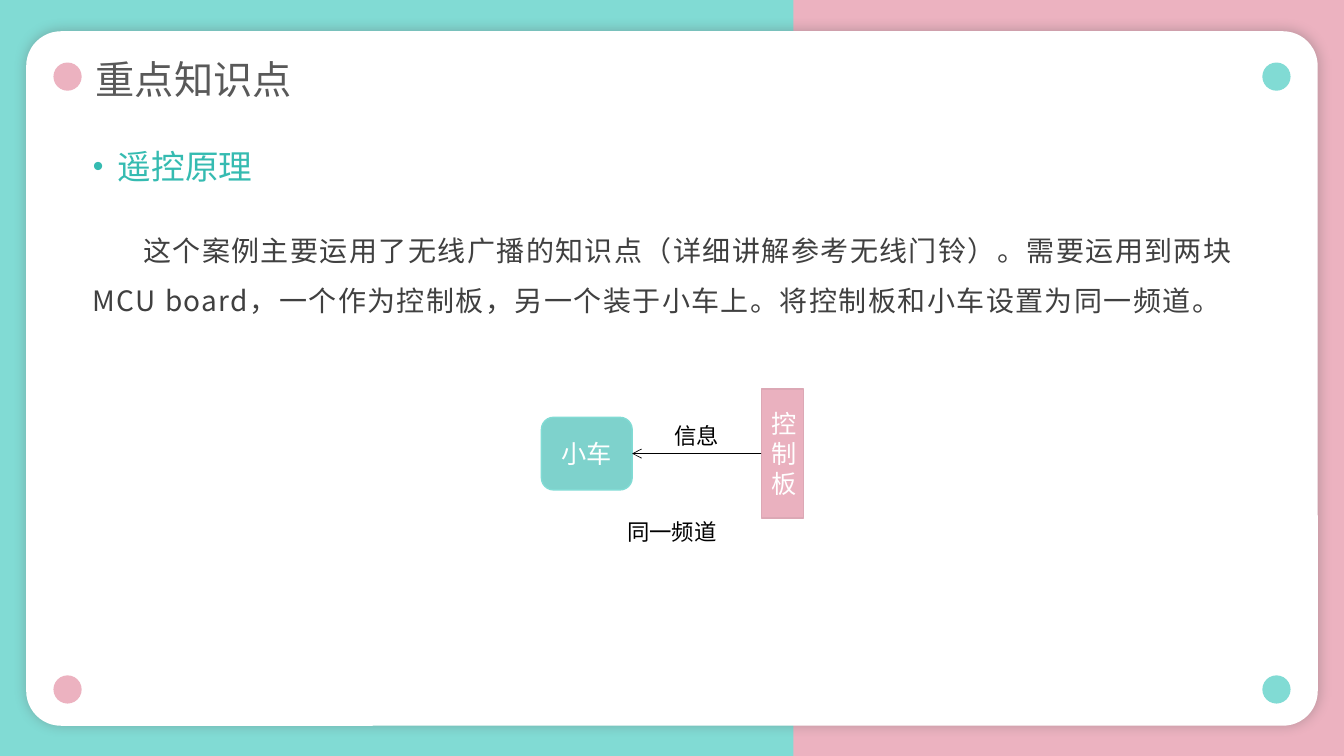
from lxml import etree
from pptx import Presentation
from pptx import util as u
from pptx.dml.color import RGBColor
from pptx.enum import shapes as sh, text as t
from pptx.oxml import parse_xml
from pptx.oxml.ns import qn, nsdecls

INK = {"teal": "81DBD4", "pink": "ECB2C0", "white": "FFFFFF", "black": "000000",
       "title": "595959", "head": "35BBB1", "body": "404040",
       "car": "7ED2CC", "board": "EAB1BF", "rim": "DCA8B5"}
CJK = "Noto Sans CJK SC"


def write(shape, words, size, ink, font=CJK, align=t.PP_ALIGN.LEFT, gap=None,
          anchor=t.MSO_ANCHOR.MIDDLE, wrap=True, side=0, inset=0.05):
    frame = shape.text_frame
    frame.word_wrap = wrap
    frame.auto_size = t.MSO_AUTO_SIZE.NONE
    frame.vertical_anchor = anchor
    frame.margin_left = frame.margin_right = u.Inches(side)
    frame.margin_top = frame.margin_bottom = u.Inches(inset)
    para = frame.paragraphs[0]
    para.alignment = align
    para.space_before = u.Pt(0)
    if gap:
        para.line_spacing = gap
    run = para.add_run()
    run.text = words
    run.font.size = u.Pt(size)
    run.font.color.rgb = RGBColor.from_string(INK[ink])
    run.font.name = font
    etree.SubElement(run.font._element, qn("a:ea"), typeface=CJK)
    return para


def draw(kind, box, ink, line=None):
    shape = slide.shapes.add_shape(kind, *map(u.Inches, box))
    shape.shadow.inherit = False
    shape.fill.solid()
    shape.fill.fore_color.rgb = RGBColor.from_string(INK[ink])
    if line:
        shape.line.color.rgb = RGBColor.from_string(INK[line])
        shape.line.width = u.Pt(1)
    else:
        shape.line.fill.background()
    return shape


deck = Presentation()
deck.slide_width, deck.slide_height = u.Inches(13.33), u.Inches(7.5)
slide = deck.slides.add_slide(deck.slide_layouts[1])
kinds = sh.MSO_SHAPE

# Two-tone backdrop and white card
back = slide.background.fill
back.solid()
back.fore_color.rgb = RGBColor.from_string(INK["pink"])
draw(kinds.RECTANGLE, (-0.02, 0, 7.89, 7.5), "teal")
card = draw(kinds.ROUNDED_RECTANGLE, (0.26, 0.31, 12.81, 6.89), "white")
card.adjustments[0] = 0.05
glow = card._element.spPr.find(qn("a:effectLst"))
glow.append(parse_xml(
    f'<a:outerShdw {nsdecls("a")} blurRad="{u.Pt(9)}" dist="{u.Pt(1)}" dir="0" algn="ctr" '
    f'rotWithShape="0"><a:srgbClr val="{INK["title"]}"><a:alpha val="36000"/></a:srgbClr>'
    '</a:outerShdw>'))

# Corner dots
for top in (0.62, 6.7):
    for left, ink in ((0.53, "pink"), (12.52, "teal")):
        draw(kinds.OVAL, (left, top, 0.28, 0.28), ink)

# Title and bullet heading, raised above the card
title, head = slide.shapes.title, slide.placeholders[1]
for holder, box in ((title, (0.95, 0.55, 5.59, 0.52)), (head, (0.92, 1.4, 8.1, 0.5))):
    holder.left, holder.top, holder.width, holder.height = map(u.Inches, box)
    holder.element.getparent().append(holder.element)
write(title, "重点知识点", 28, "title", gap=0.9)
para = write(head, "遥控原理", 24, "head", font="Arial", align=t.PP_ALIGN.JUSTIFY)
props = para._p.get_or_add_pPr()
props.set("marL", str(u.Inches(0.25)))
props.set("indent", str(u.Inches(-0.25)))
for tag, key, value in (("buSzPct", "val", "90000"), ("buFont", "typeface", "Arial"),
                        ("buChar", "char", "•")):
    etree.SubElement(props, qn(f"a:{tag}"), {key: value})

# Body text
note = slide.shapes.add_textbox(*map(u.Inches, (0.92, 2.1, 11.69, 1.05)))
para = write(note, "这个案例主要运用了无线广播的知识点（详细讲解参考无线门铃）。需要运用到两块"
             "MCU board，一个作为控制板，另一个装于小车上。将控制板和小车设置为同一频道。",
             20, "body", gap=1.5, anchor=t.MSO_ANCHOR.TOP)
para._p.get_or_add_pPr().set("indent", str(u.Inches(0.5)))
para.runs[0].font._element.set("spc", "100")

# Control board sends to car
board = draw(kinds.RECTANGLE, (7.55, 3.86, 0.42, 1.28), "board", "rim")
car = draw(kinds.ROUNDED_RECTANGLE, (5.37, 4.14, 0.9, 0.72), "car", "teal")
for shape, words in ((board, "控制板"), (car, "小车")):
    write(shape, words, 18, "white", align=t.PP_ALIGN.CENTER, side=0.1)

link = slide.shapes.add_connector(sh.MSO_CONNECTOR.STRAIGHT, 0, 0, 0, 0)
link.begin_connect(board, 1)
link.end_connect(car, 3)
link.line.color.rgb = RGBColor.from_string(INK["black"])
link.line.width = u.Pt(0.5)
etree.SubElement(link.line._get_or_add_ln(), qn("a:tailEnd"), type="arrow")
etree.SubElement(link._element.spPr, qn("a:effectLst"))

# Labels
for words, box in (("信息", (6.69, 4.11, 0.44, 0.35)), ("同一频道", (6.22, 5.06, 0.89, 0.35))):
    label = slide.shapes.add_textbox(*map(u.Inches, box))
    write(label, words, 16, "black", gap=1.3, anchor=t.MSO_ANCHOR.TOP, wrap=False, inset=0)

deck.save("out.pptx")
